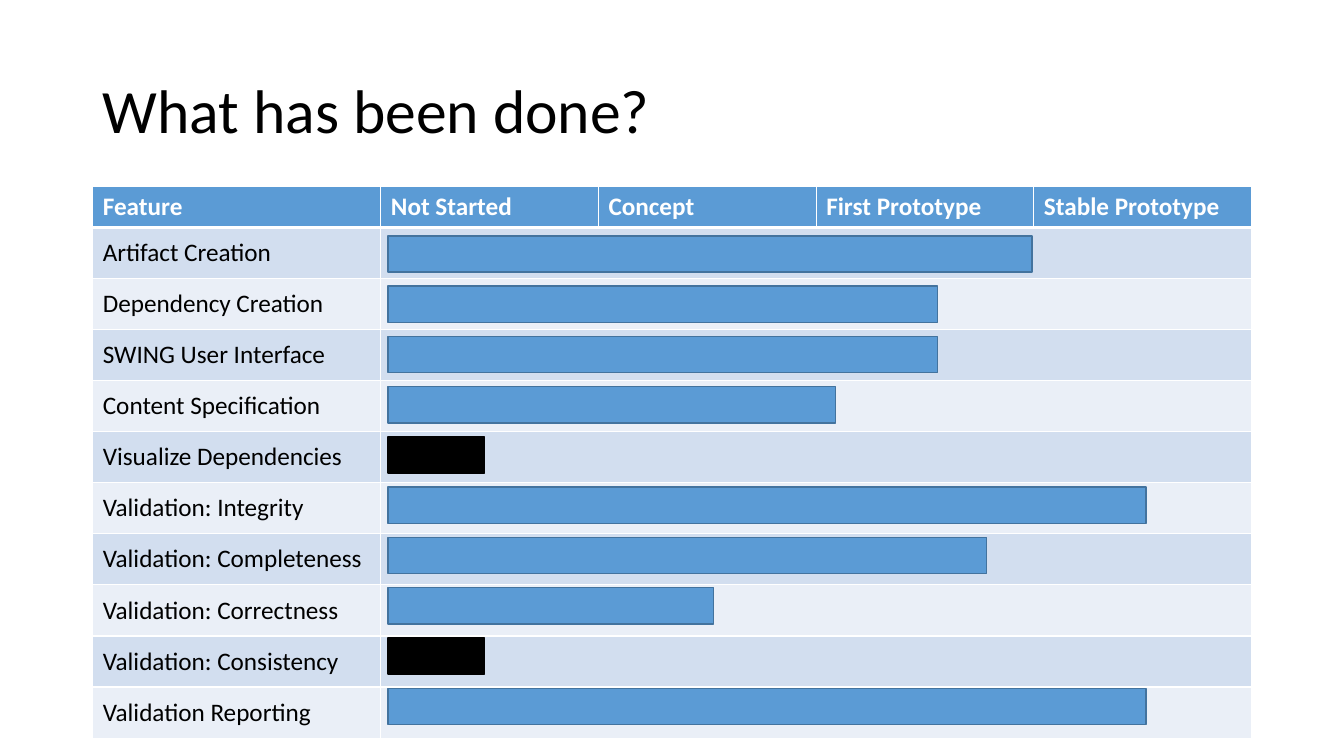
from typing import NamedTuple

from lxml import etree
from pptx import Presentation
from pptx import util as u
from pptx.dml import color as dml
from pptx.enum import shapes, text
from pptx.oxml import ns

FONT = "Calibri"
COLORS = {
    "blue": "5B9BD5",
    "edge": "43739E",
    "dark": "D2DEEF",
    "light": "EAEFF7",
    "white": "FFFFFF",
    "black": "000000",
}
HEADS = ["Feature", "Not Started", "Concept", "First Prototype", "Stable Prototype"]
LEFT, TOP = 66.24, 133.2
NAME_W, STAGE_W = 205.8, 155.5
HEAD_H, ROW_H = 29.2, 36.5
BAR_X, BAR_Y, BAR_H, BAR_STEP = 277.2, 168.5, 25.9, 35.9


class Feature(NamedTuple):
    name: str
    width: float
    fill: str = "blue"
    edge: str = "edge"


FEATURES = [
    Feature("Artifact Creation", 460),
    Feature("Dependency Creation", 392.4),
    Feature("SWING User Interface", 392.4),
    Feature("Content Specification", 319.7),
    Feature("Visualize Dependencies", 69, "black", "black"),
    Feature("Validation: Integrity", 541.4),
    Feature("Validation: Completeness", 427.7),
    Feature("Validation: Correctness", 232.6),
    Feature("Validation: Consistency", 69, "black", "black"),
    Feature("Validation Reporting", 541.4),
]


def rgb(name: str) -> dml.RGBColor:
    return dml.RGBColor.from_string(COLORS[name])


def style(frame, size: float, color: str, bold: bool = False) -> None:
    for run in frame.paragraphs[0].runs:
        run.font.name = FONT
        run.font.size = u.Pt(size)
        run.font.bold = bold
        run.font.color.rgb = rgb(color)


def border(cell, top: float, base: float) -> None:
    props = cell._tc.get_or_add_tcPr()
    widths = {"lnL": 1, "lnR": 1, "lnT": top, "lnB": base}
    for spot, (tag, width) in enumerate(widths.items()):
        line = etree.Element(ns.qn(f"a:{tag}"), w=str(u.Pt(width)))
        fill = etree.SubElement(line, ns.qn("a:solidFill"))
        etree.SubElement(fill, ns.qn("a:srgbClr"), val=COLORS["white"])
        props.insert(spot, line)


def add_title(slide, words: str) -> None:
    title = slide.shapes.title
    title.left, title.top = u.Pt(LEFT), u.Pt(28.8)
    title.width, title.height = u.Pt(828), u.Pt(104.4)
    frame = title.text_frame
    frame.text = words
    frame.word_wrap = True
    frame.vertical_anchor = text.MSO_ANCHOR.MIDDLE
    frame.paragraphs[0].alignment = text.PP_ALIGN.LEFT
    frame.paragraphs[0].line_spacing = 0.9
    style(frame, 44, "black")


def add_grid(slide) -> None:
    count = len(FEATURES)
    grid = slide.shapes.add_table(
        count + 1, len(HEADS), u.Pt(LEFT), u.Pt(TOP),
        u.Pt(NAME_W + 4 * STAGE_W), u.Pt(HEAD_H + count * ROW_H),
    ).table
    for col, part in enumerate(grid.columns):
        part.width = u.Pt(STAGE_W if col else NAME_W)
    for row, part in enumerate(grid.rows):
        part.height = u.Pt(ROW_H if row else HEAD_H)
        band = "blue" if row == 0 else "dark" if row % 2 else "light"
        for cell in part.cells:
            cell.fill.solid()
            cell.fill.fore_color.rgb = rgb(band)
            border(cell, 3 if row == 1 else 1, 1 if row else 3)
    for col, head in enumerate(HEADS):
        cell = grid.cell(0, col)
        cell.text_frame.text = head
        style(cell.text_frame, 18, "white", True)
    for row, item in enumerate(FEATURES, 1):
        cell = grid.cell(row, 0)
        cell.text_frame.text = item.name
        cell.vertical_anchor = text.MSO_ANCHOR.MIDDLE
        style(cell.text_frame, 18, "black")
        grid.cell(row, 1).merge(grid.cell(row, len(HEADS) - 1))


def add_bar(slide, item: Feature, row: int) -> None:
    bar = slide.shapes.add_shape(
        shapes.MSO_SHAPE.RECTANGLE, u.Pt(BAR_X), u.Pt(BAR_Y + row * BAR_STEP),
        u.Pt(item.width), u.Pt(BAR_H),
    )
    bar.shadow.inherit = False
    bar.fill.solid()
    bar.fill.fore_color.rgb = rgb(item.fill)
    bar.line.color.rgb = rgb(item.edge)
    bar.line.width = u.Pt(1)


deck = Presentation()
deck.slide_width, deck.slide_height = u.Pt(960), u.Pt(540)
slide = deck.slides.add_slide(deck.slide_layouts[5])
add_title(slide, "What has been done?")
add_grid(slide)
for row, item in enumerate(FEATURES):
    add_bar(slide, item, row)
deck.save("out.pptx")
